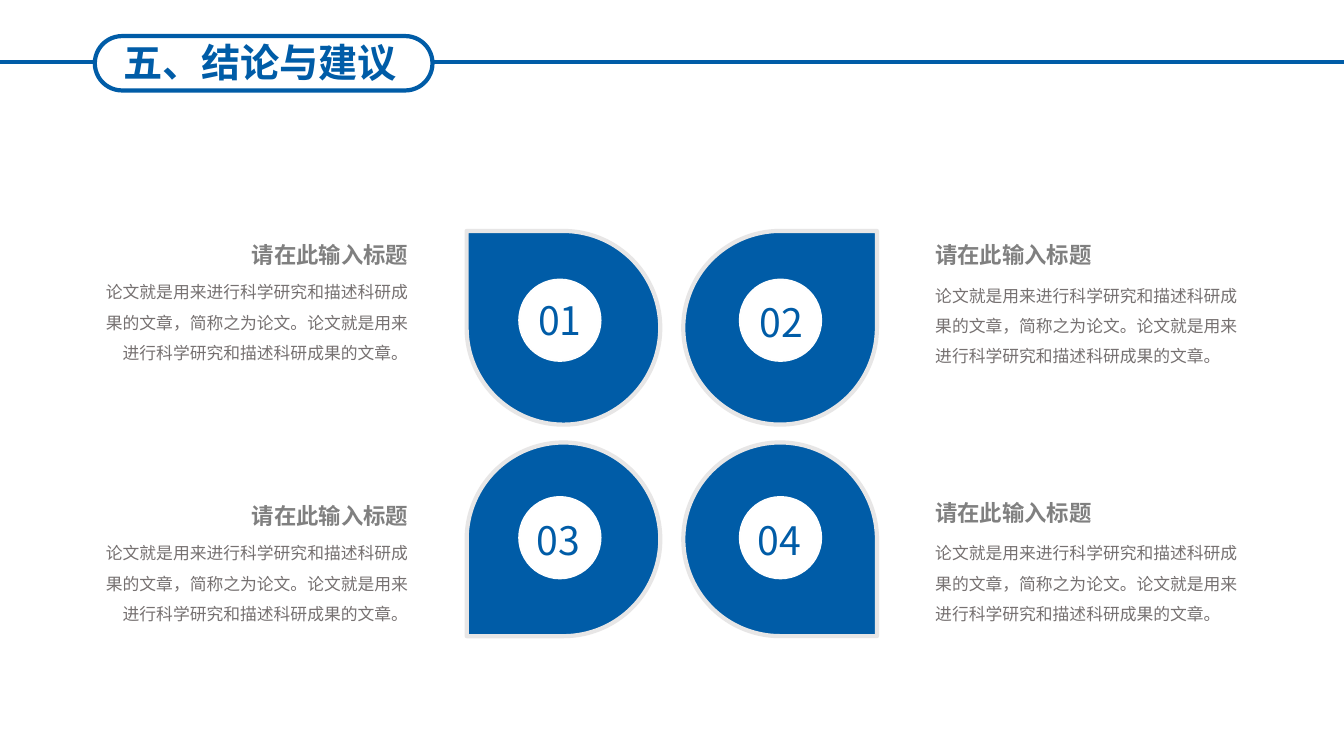
"""Build the conclusions slide with four numbered petals and their texts."""
from dataclasses import dataclass

from lxml import etree
from pptx import Presentation
from pptx.dml.color import RGBColor
from pptx.enum import shapes, text
from pptx.oxml.ns import qn
from pptx.util import Cm, Pt

FONT = "Noto Sans CJK SC"
HUES = {"blue": "005CA7", "rim": "E7E6E6", "white": "FFFFFF",
        "edge": "FEFEFE", "head": "808080", "body": "767171"}
HEAD = "请在此输入标题"
BODY = ("论文就是用来进行科学研究和描述科研成果的文章，简称之为论文。"
        "论文就是用来进行科学研究和描述科研成果的文章。")
WIDE, MID = 33.87, 1.57
LEFT, RIGHT = text.PP_ALIGN.LEFT, text.PP_ALIGN.RIGHT
KIND = shapes.MSO_SHAPE


@dataclass
class Box:
    """Place and size in centimetres."""
    x: float
    y: float
    w: float
    h: float

    def emu(self) -> tuple:
        """Return the four lengths for python-pptx."""
        return Cm(self.x), Cm(self.y), Cm(self.w), Cm(self.h)


@dataclass
class Style:
    """Look of a text."""
    size: float
    hue: str
    bold: bool = False
    align: int = LEFT
    space: float = 1.0
    wrap: bool = False


@dataclass
class Petal:
    """One numbered petal with its heading and body."""
    turn: int
    col: int
    row: int
    num: tuple
    head: tuple
    body: tuple


PETALS = [
    Petal(270, 0, 0, (13.31, 7.34), (6.1, 5.94), (2.08, 6.73)),
    Petal(0, 1, 0, (18.9, 7.39), (23.32, 5.94), (23.32, 6.81)),
    Petal(180, 0, 1, (13.28, 12.88), (6.1, 12.52), (2.08, 13.31)),
    Petal(90, 1, 1, (18.85, 12.88), (23.32, 12.45), (23.32, 13.31)),
]


def tint(name: str) -> RGBColor:
    """Return a named colour."""
    return RGBColor.from_string(HUES[name])


def write(frame, words: str, look: Style) -> None:
    """Fill a text frame and format its run."""
    frame.text = words
    frame.word_wrap = look.wrap
    frame.auto_size = text.MSO_AUTO_SIZE.NONE
    para = frame.paragraphs[0]
    para.alignment, para.line_spacing = look.align, look.space
    font = para.runs[0].font
    font.size, font.bold, font.name = Pt(look.size), look.bold, FONT
    font.color.rgb = tint(look.hue)
    props = para.runs[0]._r.get_or_add_rPr()
    etree.SubElement(props, qn("a:ea")).set("typeface", FONT)


def label(slide, box: Box, words: str, look: Style) -> None:
    """Add a text box."""
    write(slide.shapes.add_textbox(*box.emu()).text_frame, words, look)


def form(slide, kind: int, box: Box, fill: str, edge: str, width: float):
    """Add a flat shape; an empty fill name leaves it hollow."""
    item = slide.shapes.add_shape(kind, *box.emu())
    item.shadow.inherit = False
    if fill:
        item.fill.solid()
        item.fill.fore_color.rgb = tint(fill)
    else:
        item.fill.background()
    item.line.color.rgb = tint(edge)
    item.line.width = Pt(width)
    return item


def rule(slide, start: float, end: float) -> None:
    """Add a level line beside the title."""
    line = slide.shapes.add_connector(
        shapes.MSO_CONNECTOR.STRAIGHT, Cm(start), Cm(MID), Cm(end), Cm(MID))
    line.line.color.rgb = tint("blue")
    line.line.width = Pt(3)
    etree.SubElement(line._element.spPr, qn("a:effectLst"))


def banner(slide) -> None:
    """Set the title inside its pill, between two lines."""
    pill = Box(2.39, 0.91, 8.51, 1.37)
    rule(slide, 0, pill.x)
    rule(slide, pill.x + pill.w, WIDE)
    form(slide, KIND.ROUNDED_RECTANGLE, pill, "", "blue", 3).adjustments[0] = 0.5
    title = slide.shapes.title
    title.left, title.top, title.width, title.height = Box(
        2.26, 0.84, 8.59, 1.45).emu()
    title.text_frame.vertical_anchor = text.MSO_ANCHOR.MIDDLE
    write(title.text_frame, "五、结论与建议",
          Style(28, "blue", True, text.PP_ALIGN.CENTER, wrap=True))


def draw(slide, petal: Petal) -> None:
    """Draw a petal with its disc, number and texts."""
    col, row = petal.col, petal.row
    leaf = Box(11.76 + 5.46 * col, 5.82 + 5.33 * row, 4.88, 4.88)
    disc = Box(13.08 + 5.56 * col, 7.04 + 5.48 * row, 2.06, 2.06)
    form(slide, KIND.TEAR, leaf, "blue", "rim", 3).rotation = petal.turn
    form(slide, KIND.OVAL, disc, "white", "edge", 1.13)
    label(slide, Box(*petal.num, 1.7, 1.45), f"{2 * row + col + 1:02}",
          Style(28, "blue"))
    label(slide, Box(*petal.body, 8.46, 2.57), BODY,
          Style(12, "body", align=LEFT if col else RIGHT, space=1.5, wrap=True))
    label(slide, Box(*petal.head, 4.5, 0.94), HEAD, Style(16, "head", True))


def main() -> None:
    """Build and save the deck."""
    deck = Presentation()
    deck.slide_width, deck.slide_height = Cm(WIDE), Cm(19.05)
    slide = deck.slides.add_slide(deck.slide_layouts[5])
    for petal in PETALS:
        draw(slide, petal)
    banner(slide)
    deck.save("out.pptx")


if __name__ == "__main__":
    main()
